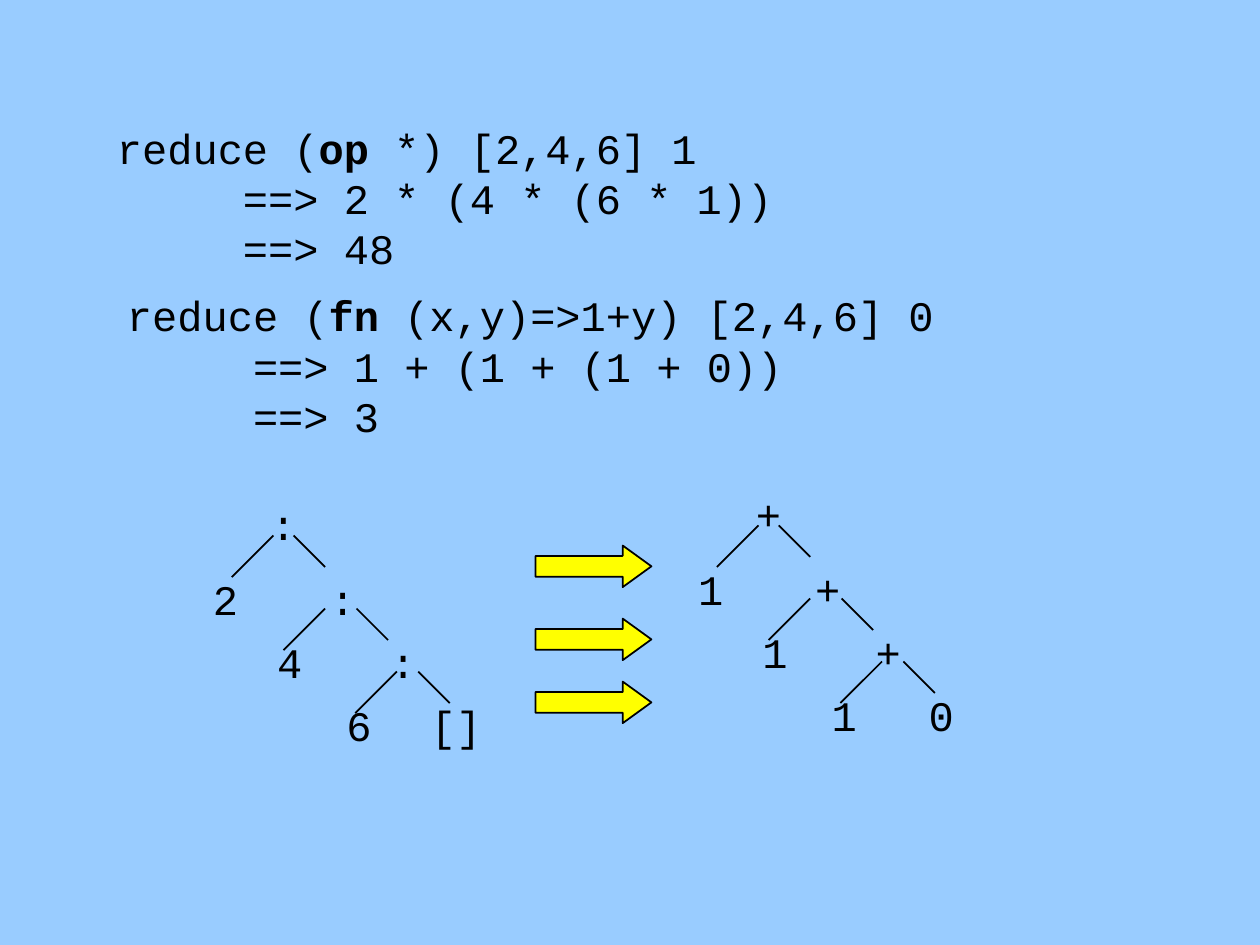
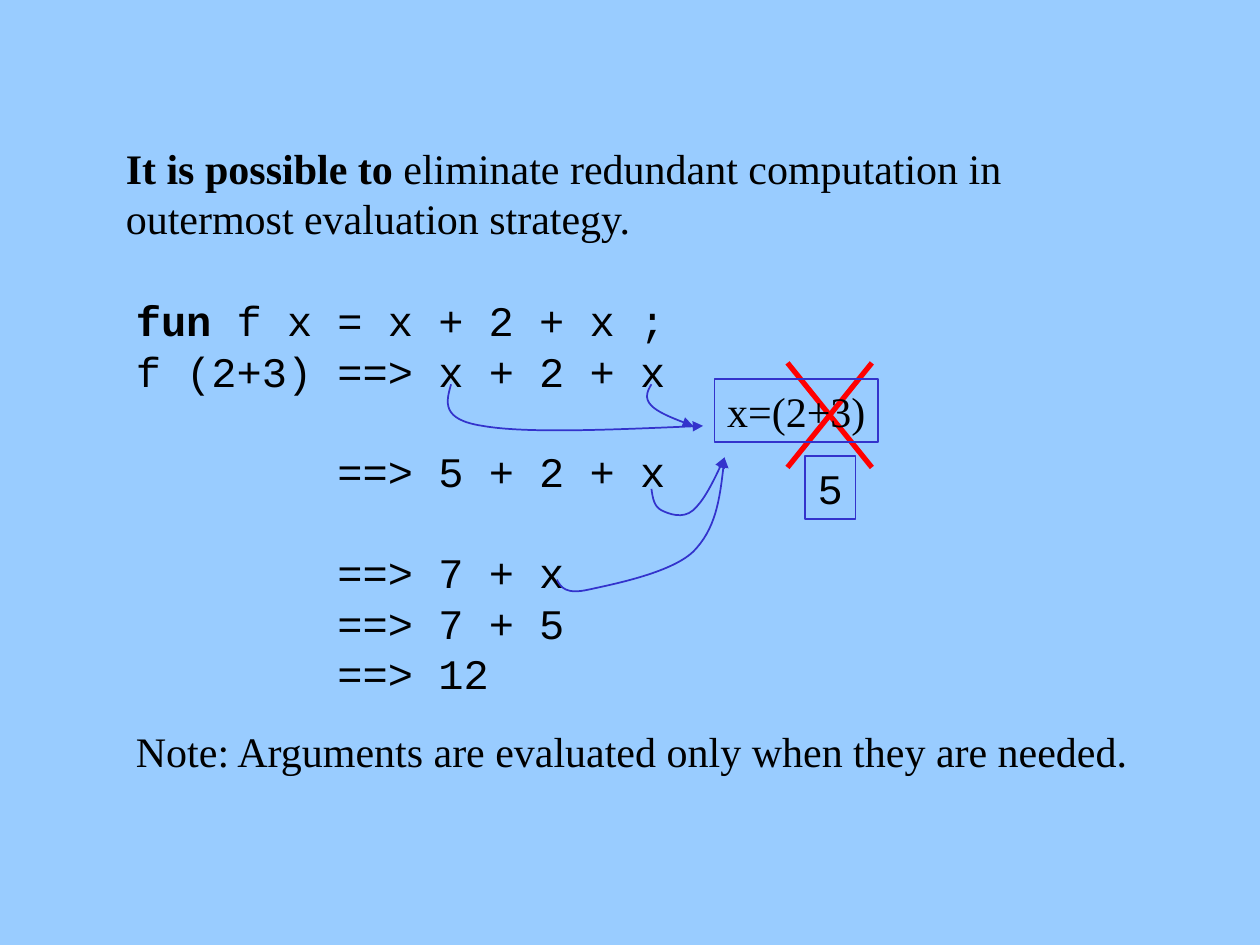
import pptx
import pptx.dml.color
import pptx.enum.shapes
import pptx.enum.text
import pptx.oxml
import pptx.oxml.ns
import pptx.util
from pptx.util import Inches

SKY = pptx.dml.color.RGBColor(0x99, 0xCC, 0xFF)
BLACK = pptx.dml.color.RGBColor(0, 0, 0)
YELLOW = pptx.dml.color.RGBColor(0xFF, 0xFF, 0)
INDIGO = pptx.dml.color.RGBColor(0x33, 0x33, 0xCC)
RED = pptx.dml.color.RGBColor(0xFF, 0, 0)
CODE, PROSE = "Courier New", "Times New Roman"
LINE_HEIGHT = pptx.util.Pt(28.8)
ROW_HEIGHT, LABEL_WIDTH = 0.5, 0.4

PRODUCT = [
    [("reduce (", False), ("op ", True), ("*) [2,4,6] 1", False)],
    "     ==> 2 * (4 * (6 * 1))",
    "     ==> 48",
]
LENGTH = [
    [("reduce (", False), ("fn ", True), ("(x,y)=>1+y) [2,4,6] 0", False)],
    "     ==> 1 + (1 + (1 + 0))",
    "     ==> 3",
]
TREES = [
    {"operator": ":", "leaves": ["2", "4", "6"], "end": "[]", "shift": (0, 0)},
    {"operator": "+", "leaves": ["1", "1", "1"], "end": "0", "shift": (3.85, -0.08)},
]
LEVELS = [
    {"node": (2.25, 3.91), "leaf": (1.79, 4.5), "left": 2.17, "right": 2.33, "fork": 4.25},
    {"node": (2.72, 4.5), "leaf": (2.3, 5), "left": 2.58, "right": 2.83, "fork": 4.83},
    {"node": (3.2, 5), "leaf": (2.85, 5.5), "left": 3.15, "right": 3.32, "fork": 5.33},
]
END_SPOT = (3.62, 5.5)

CLAIM = [
    [("It is possible to ", True), ("eliminate redundant computation in", False)],
    "outermost evaluation strategy.",
]
EVALUATION = [
    [("fun", True), (" f x = x + 2 + x ;", False)],
    "f (2+3) ==> x + 2 + x",
    "        ==> 5 + 2 + x",
    "        ==> 7 + x",
    "        ==> 7 + 5",
    "        ==> 12",
]
EVALUATION_GAPS = (2, 3)
NOTE = ["Note: Arguments are evaluated only when they are needed."]
CALL_POINTERS = [
    [(3.58, 3.05), (3.54, 3.19), (3.5, 3.33), (3.83, 3.38),
     (4.17, 3.44), (4.88, 3.41), (5.58, 3.38)],
    [(5.17, 3.05), (5.14, 3.1), (5.11, 3.16), (5.17, 3.22),
     (5.22, 3.27), (5.36, 3.33), (5.5, 3.38)],
]
RESULT_POINTERS = [
    [(5.17, 3.88), (5.18, 3.95), (5.19, 4.02), (5.25, 4.05), (5.31, 4.08),
     (5.42, 4.12), (5.5, 4.05), (5.58, 3.98), (5.67, 3.81), (5.75, 3.63)],
    [(4.42, 4.6), (4.45, 4.66), (4.49, 4.72), (4.67, 4.68), (4.85, 4.64),
     (5.32, 4.55), (5.5, 4.38), (5.68, 4.2), (5.72, 3.92), (5.75, 3.63)],
]


def write(box, lines, font, align=pptx.enum.text.PP_ALIGN.LEFT, gaps=()):
    frame = box.text_frame
    frame.word_wrap = False
    frame.auto_size = pptx.enum.text.MSO_AUTO_SIZE.SHAPE_TO_FIT_TEXT
    frame.vertical_anchor = pptx.enum.text.MSO_ANCHOR.TOP
    for index, line in enumerate(lines):
        para = frame.add_paragraph() if index else frame.paragraphs[0]
        para.alignment = align
        para.line_spacing = LINE_HEIGHT
        if index in gaps:
            para.space_before = LINE_HEIGHT
        para.font.name = font
        para.font.size = pptx.util.Pt(24)
        para.font.color.rgb = BLACK
        for text, bold in [(line, False)] if isinstance(line, str) else line:
            span = para.add_run()
            span.text = text
            span.font.name = font
            span.font.bold = bold


def add_text(page, left, top, width, lines, font, gaps=()):
    height = 0.1 + 0.4 * (len(lines) + len(gaps))
    box = page.shapes.add_textbox(Inches(left), Inches(top), Inches(width), Inches(height))
    write(box, lines, font, gaps=gaps)


def add_line(shapes, start, end, colour=BLACK, weight=1):
    line = shapes.add_connector(
        pptx.enum.shapes.MSO_CONNECTOR.STRAIGHT, *map(Inches, start + end))
    line.line.color.rgb = colour
    line.line.width = pptx.util.Pt(weight)
    properties = line._element.spPr
    properties.append(properties.makeelement(pptx.oxml.ns.qn("a:effectLst"), {}))


def outline(shape, colour):
    shape.shadow.inherit = False
    shape.fill.background()
    shape.line.color.rgb = colour
    shape.line.width = pptx.util.Pt(1)


def add_tree(page, tree):
    across, down = tree["shift"]
    shapes = page.shapes.add_group_shape().shapes

    def add_label(text, spot):
        width = LABEL_WIDTH + 0.2 * (len(text) - 1)
        box = shapes.add_textbox(
            Inches(spot[0] + across - width / 2), Inches(spot[1] + down),
            Inches(width), Inches(ROW_HEIGHT))
        write(box, [text], CODE, pptx.enum.text.PP_ALIGN.CENTER)

    for level, leaf in zip(LEVELS, tree["leaves"]):
        add_label(tree["operator"], level["node"])
        add_label(leaf, level["leaf"])
        fork = level["fork"] + down
        left, right = level["left"] + across, level["right"] + across
        add_line(shapes, (left, fork), (left - 0.33, fork + 0.33))
        add_line(shapes, (right, fork), (right + 0.25, fork + 0.25))
    add_label(tree["end"], END_SPOT)


def add_block_arrow(page, top):
    arrow = page.shapes.add_shape(
        pptx.enum.shapes.MSO_SHAPE.RIGHT_ARROW,
        Inches(4.25), Inches(top), Inches(0.92), Inches(0.33))
    arrow.adjustments[1] = 0.69
    outline(arrow, BLACK)
    arrow.fill.solid()
    arrow.fill.fore_color.rgb = YELLOW


def add_pointer(page, points):
    spots = [(Inches(x), Inches(y)) for x, y in points]
    builder = page.shapes.build_freeform(*spots[0])
    builder.add_line_segments(spots[1:], close=False)
    pointer = builder.convert_to_shape()
    outline(pointer, INDIGO)
    name = pptx.oxml.ns.qn
    segments = list(pointer._element.iter(name("a:lnTo")))
    for index in range(0, len(segments), 3):
        trio = segments[index:index + 3]
        curve = trio[0].makeelement(name("a:cubicBezTo"), {})
        trio[0].addprevious(curve)
        for segment in trio:
            curve.append(segment[0])
            segment.getparent().remove(segment)
    stroke = pointer.line._get_or_add_ln()
    stroke.append(stroke.makeelement(name("a:tailEnd"), {"type": "triangle"}))


def add_value_box(page, left, top, width, text, font):
    box = page.shapes.add_shape(
        pptx.enum.shapes.MSO_SHAPE.RECTANGLE,
        Inches(left), Inches(top), Inches(width), Inches(ROW_HEIGHT))
    outline(box, INDIGO)
    write(box, [text], font, pptx.enum.text.PP_ALIGN.CENTER)


def build_reduce_page(page):
    add_text(page, 0.83, 0.92, 5.4, PRODUCT, CODE)
    add_text(page, 0.91, 2.25, 6.8, LENGTH, CODE)
    for tree in TREES:
        add_tree(page, tree)
    for level in LEVELS:
        add_block_arrow(page, level["fork"] + 0.08)


def build_evaluation_page(page):
    add_text(page, 0.9, 1.08, 7.23, CLAIM, PROSE)
    add_text(page, 0.98, 2.29, 4.6, EVALUATION, CODE, EVALUATION_GAPS)
    for points in CALL_POINTERS:
        add_pointer(page, points)
    add_line(page.shapes, (6.25, 3.71), (6.92, 2.88), RED, 3)
    add_line(page.shapes, (6.92, 3.71), (6.25, 2.88), RED, 3)
    add_value_box(page, 6.39, 3.62, 0.4, "5", CODE)
    for points in RESULT_POINTERS:
        add_pointer(page, points)
    add_value_box(page, 5.67, 3.01, 1.3, "x=(2+3)", PROSE)
    add_text(page, 0.98, 5.71, 8.09, NOTE, PROSE)


def main():
    deck = pptx.Presentation()
    deck.slide_width, deck.slide_height = Inches(10), Inches(7.5)
    backdrop = deck.slide_master.background.fill
    backdrop.solid()
    backdrop.fore_color.rgb = SKY
    for build in (build_reduce_page, build_evaluation_page):
        build(deck.slides.add_slide(deck.slide_layouts[6]))
    deck.save("out.pptx")


if __name__ == "__main__":
    main()
